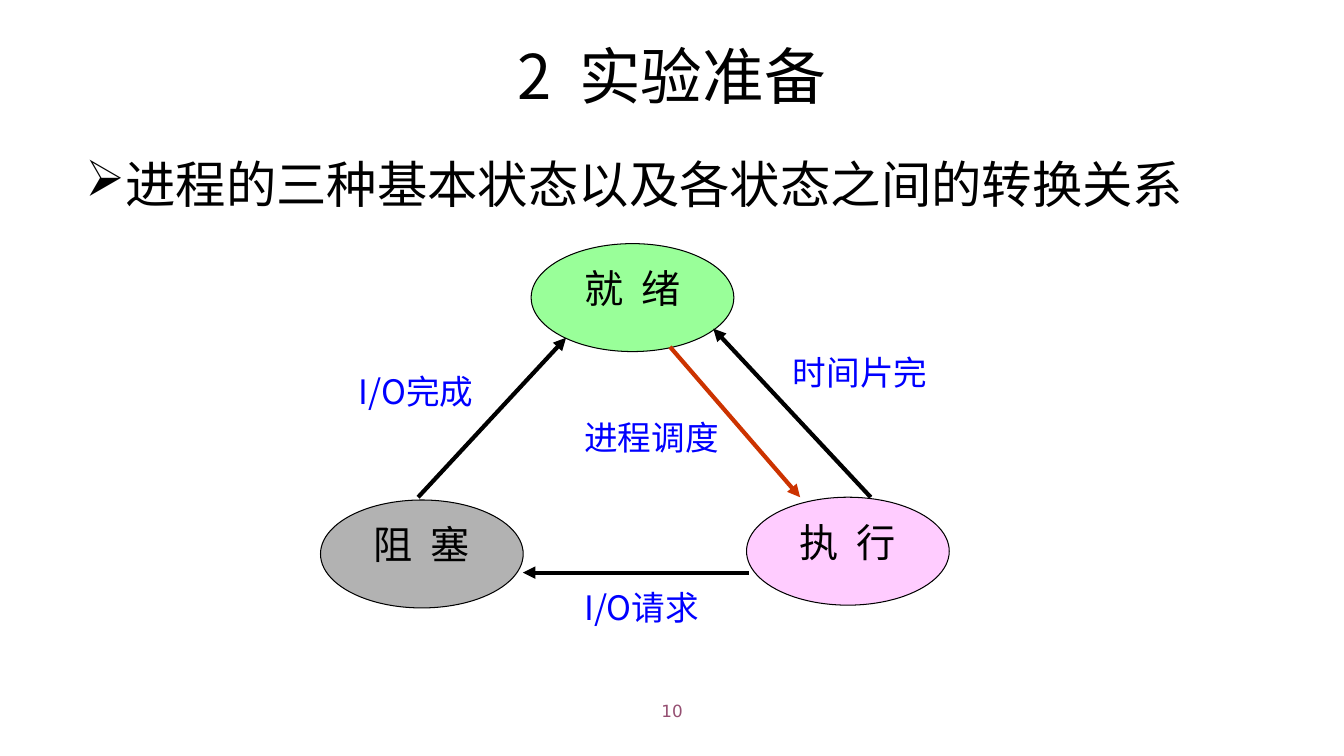
from lxml import etree
from pptx import Presentation, util as u
from pptx.dml.color import RGBColor
from pptx.enum import shapes, text
from pptx.oxml.ns import qn

COLORS = {
    "ink": "000000", "label": "0000FF", "number": "954F72", "dispatch": "CC3300",
    "running": "FFCCFF", "blocked": "B2B2B2", "ready": "99FF99",
}
CJK = "Noto Sans CJK SC"
SERIF = "Times New Roman"


class StateSlide:
    """Draws the process state diagram on one slide in a shared style."""

    def __init__(self, deck):
        self.page = deck.slides.add_slide(deck.slide_layouts[6])

    def color(self, name):
        return RGBColor.from_string(COLORS[name])

    def set_text(self, frame, words, size, color="ink", font=CJK, align="LEFT", anchor="TOP"):
        frame.word_wrap = True
        frame.vertical_anchor = text.MSO_ANCHOR[anchor]
        para = frame.paragraphs[0]
        para.text = words
        para.alignment = text.PP_ALIGN[align]
        para.font.size = u.Pt(size)
        para.font.color.rgb = self.color(color)
        para.font.name = font
        props = para._p.get_or_add_pPr().find(qn("a:defRPr"))
        etree.SubElement(props, qn("a:ea"), typeface=CJK)
        return para

    def textbox(self, words, left, top, width, height, size, **style):
        box = self.page.shapes.add_textbox(u.Cm(left), u.Cm(top), u.Cm(width), u.Cm(height))
        return box.text_frame, self.set_text(box.text_frame, words, size, **style)

    def title(self, words):
        para = self.textbox(words, 5.82, 0.84, 22.23, 2.34, 44, align="CENTER", anchor="MIDDLE")[1]
        para.line_spacing = 0.9

    def bullet(self, words):
        frame, para = self.textbox(words, 1.9, 4.04, 30.28, 12.67, 36)
        frame.margin_top = 0
        para.line_spacing = 0.9
        props = para._p.get_or_add_pPr()
        indent = u.Cm(0.64)
        props.set("marL", str(indent))
        props.set("indent", str(-indent))
        mark = etree.Element(qn("a:buChar"), char="➢")
        props.find(qn("a:defRPr")).addprevious(mark)

    def number(self, words):
        frame = self.textbox(words, 11.23, 17.65, 11.43, 1.02, 12, color="number",
                             font="DejaVu Sans", align="CENTER")[0]
        frame.margin_top = 0

    def state(self, words, left, top, fill):
        oval = self.page.shapes.add_shape(
            shapes.MSO_SHAPE.OVAL, u.Cm(left), u.Cm(top), u.Cm(5.11), u.Cm(2.72))
        oval.shadow.inherit = False
        oval.fill.solid()
        oval.fill.fore_color.rgb = self.color(fill)
        oval.line.color.rgb = self.color("ink")
        oval.line.width = u.Pt(0.75)
        self.set_text(oval.text_frame, words, 28, align="CENTER")

    def arrow(self, start, end, color="ink"):
        link = self.page.shapes.add_connector(
            shapes.MSO_CONNECTOR.STRAIGHT, *(u.Cm(value) for value in start + end))
        link.line.color.rgb = self.color(color)
        link.line.width = u.Pt(3)
        props = link._element.spPr
        etree.SubElement(props.find(qn("a:ln")), qn("a:tailEnd"), type="triangle")
        etree.SubElement(props, qn("a:effectLst"))

    def label(self, words, left, top, width, font):
        self.textbox(words, left, top, width, 1.27, 24, color="label", font=font)


def main():
    deck = Presentation()
    deck.slide_width, deck.slide_height = u.Cm(33.88), u.Cm(19.05)
    slide = StateSlide(deck)
    slide.title("2  实验准备")
    slide.bullet("进程的三种基本状态以及各状态之间的转换关系")
    slide.number("10")

    for words, left, top, fill in (
        ("执  行", 18.82, 12.53, "running"),
        ("阻  塞", 8.08, 12.6, "blocked"),
        ("就  绪", 13.39, 6.14, "ready"),
    ):
        slide.state(words, left, top, fill)

    for start, end, color in (
        ((18.87, 14.43), (13.18, 14.43), "ink"),
        ((10.54, 12.53), (14.27, 8.51), "ink"),
        ((21.95, 12.53), (17.98, 8.28), "ink"),
        ((16.89, 8.74), (20.17, 12.53), "dispatch"),
    ):
        slide.arrow(start, end, color)

    for words, left, top, width, font in (
        ("时间片完", 19.74, 8.74, 4.6, SERIF),
        ("I/O请求", 14.48, 14.66, 3.94, CJK),
        ("进程调度", 14.48, 10.39, 4.37, SERIF),
        ("I/O完成", 8.79, 9.22, 3.94, CJK),
    ):
        slide.label(words, left, top, width, font)
    deck.save("out.pptx")


if __name__ == "__main__":
    main()
